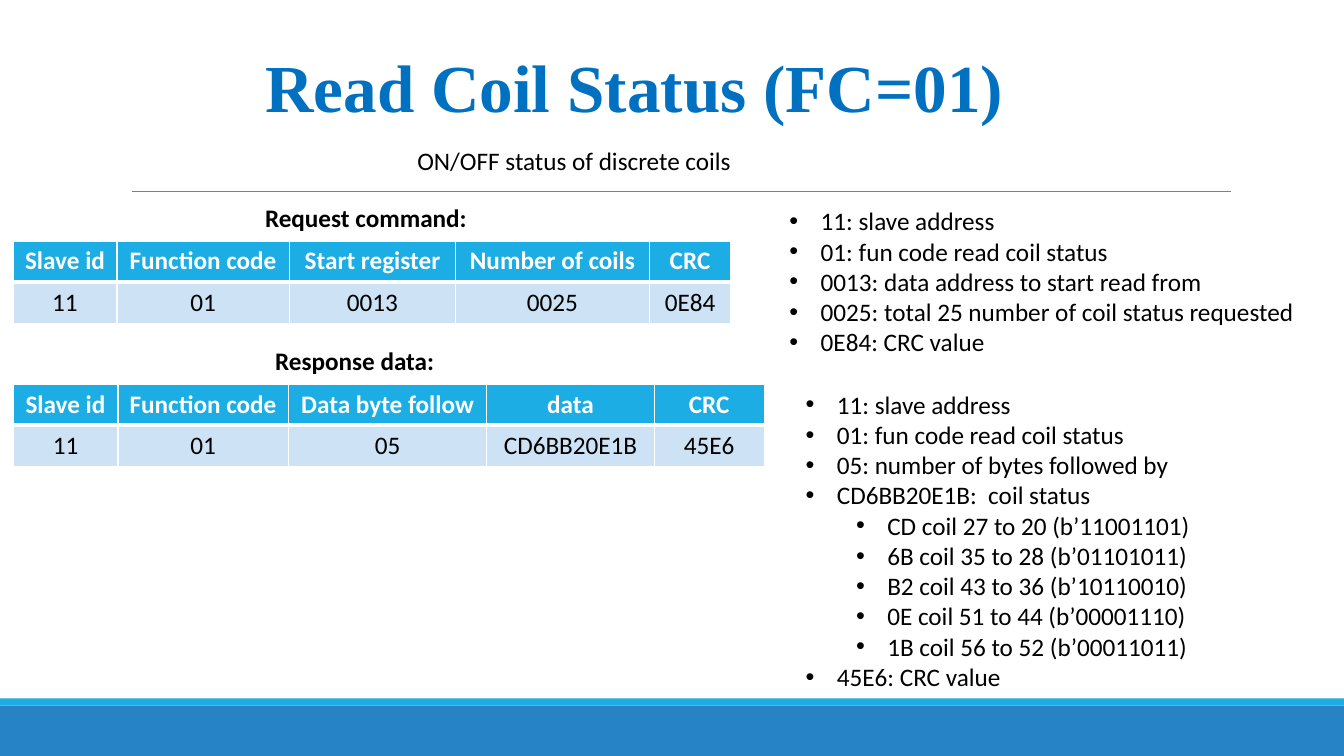
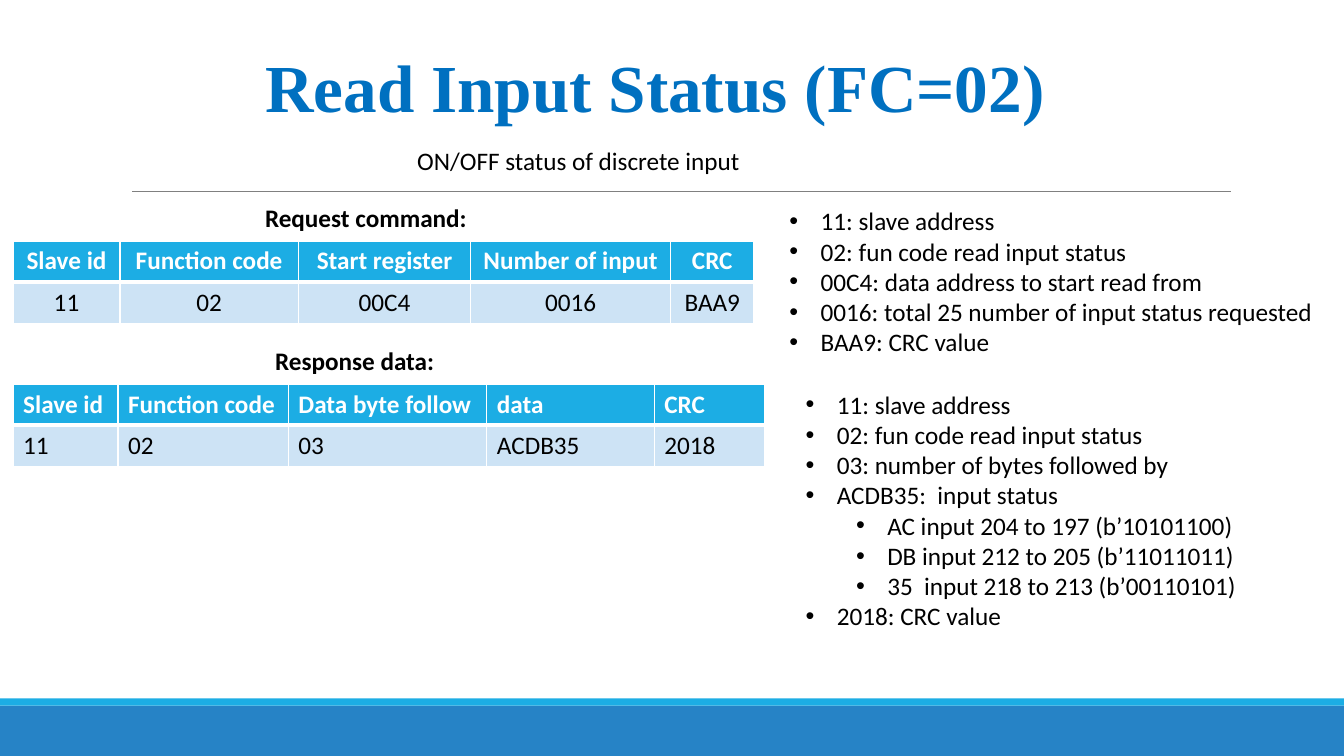
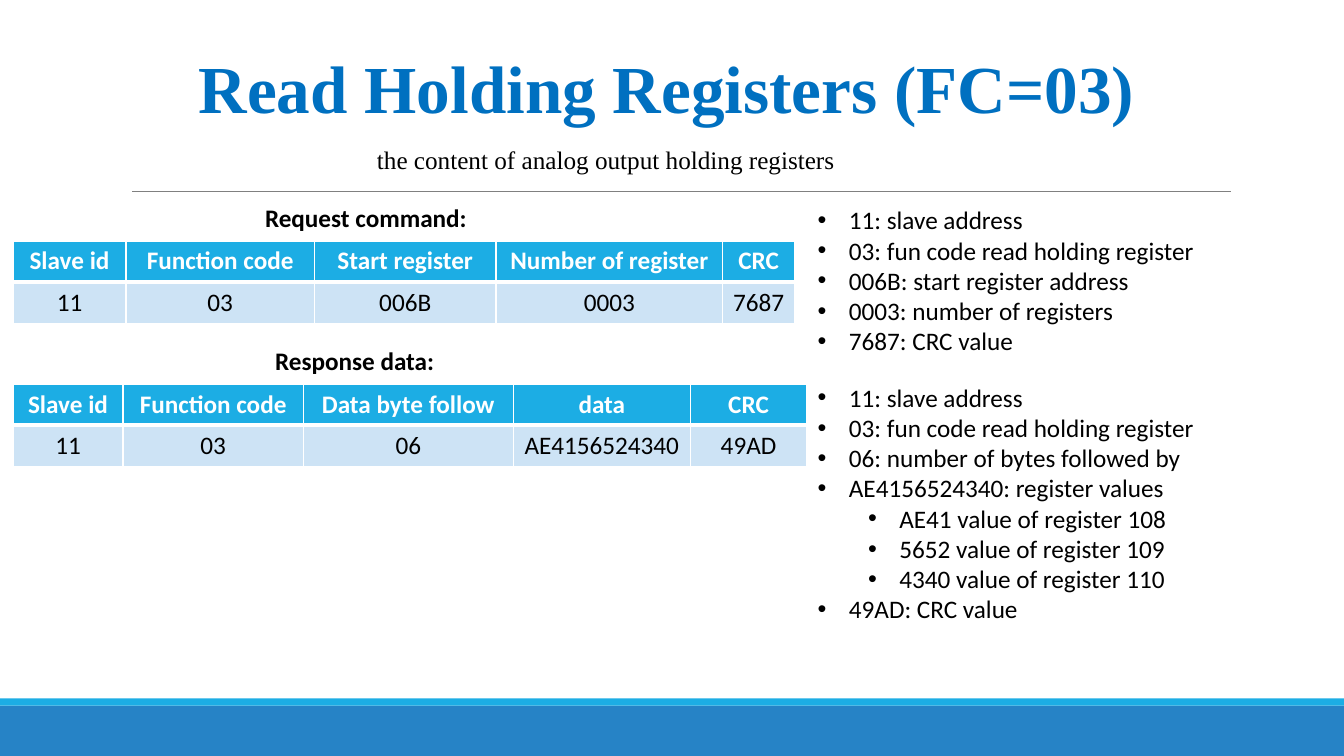
import pptx
import pptx.util
import pptx.dml.color
import pptx.enum.dml
import pptx.enum.shapes
import pptx.enum.text
import pptx.oxml
import pptx.oxml.ns
import lxml.etree

PX = 9144  # EMU per px, 100 px to the inch
SLIDE_SIZE = (1333, 750)

COLORS = {"band": "2683C6", "accent": "1CADE4", "rule": "808080", "title": "0070C0",
          "text": "000000", "white": "FFFFFF", "row": "CDE3F5"}

ALIGN = pptx.enum.text.PP_ALIGN
ANCHOR = pptx.enum.text.MSO_ANCHOR
FONTS = {
    "title": {"name": "Times New Roman", "size": pptx.util.Pt(48), "bold": True},
    "serif": {"name": "Times New Roman", "size": pptx.util.Pt(18), "bold": False},
    "text": {"name": "Calibri", "size": pptx.util.Pt(18), "bold": False},
    "strong": {"name": "Calibri", "size": pptx.util.Pt(18), "bold": True},
}
PARAGRAPH = {"line_spacing": 1.0, "space_before": pptx.util.Pt(0), "space_after": pptx.util.Pt(0)}
FRAME = {"word_wrap": True, "auto_size": pptx.enum.text.MSO_AUTO_SIZE.NONE}

# Shared places: left, top, width, height
BANDS = [("band", (0, 700, 1333, 50)), ("accent", (0, 693, 1333, 7))]
RULE = (131, 190, 1221, 190)
CAPTIONS = [("Request command:", (253, 196, 222, 40)), ("Response data:", (263, 338, 179, 40))]
TABLE_LEFT, TABLE_TOPS, ROW_HEIGHT = 13, (239, 381), 41
BULLET_HANG, LEVEL_STEP = 31, 50

REQUEST_HEAD = ["Slave id", "Function code", "Start register"]
RESPONSE_HEAD = ["Slave id", "Function code", "Data byte follow", "data", "CRC"]

# Content: nested lists are second-level bullets
SLIDES = [
    {
        "title": ("Read Coil Status (FC=01)", (253, 39, 776, 91)),
        "subtitle": ("ON/OFF status of discrete coils", (404, 139, 335, 40), "text"),
        "tables": [
            (REQUEST_HEAD + ["Number of coils", "CRC"], ["11", "01", "0013", "0025", "0E84"],
             [103, 171, 165, 192, 81], ALIGN.CENTER),
            (RESPONSE_HEAD, ["11", "01", "05", "CD6BB20E1B", "45E6"],
             [104, 169, 197, 166, 109], ALIGN.CENTER),
        ],
        "lists": [
            ((773, 199, 526, 162), [
                "11: slave address", "01: fun code read coil status",
                "0013: data address to start read from",
                "0025: total 25 number of coil status requested", "0E84: CRC value"]),
            ((789, 381, 406, 313), [
                "11: slave address", "01: fun code read coil status",
                "05: number of bytes followed by", "CD6BB20E1B:  coil status",
                ["CD coil 27 to 20 (b’11001101)", "6B coil 35 to 28 (b’01101011)",
                 "B2 coil 43 to 36 (b’10110010)", "0E coil 51 to 44 (b’00001110)",
                 "1B coil 56 to 52 (b’00011011)"],
                "45E6: CRC value"]),
        ],
    },
    {
        "title": ("Read Input Status (FC=02)", (253, 39, 828, 91)),
        "subtitle": ("ON/OFF status of discrete input", (404, 139, 344, 40), "text"),
        "tables": [
            (REQUEST_HEAD + ["Number of input", "CRC"], ["11", "02", "00C4", "0016", "BAA9"],
             [106, 177, 171, 198, 83], ALIGN.CENTER),
            (RESPONSE_HEAD, ["11", "02", "03", "ACDB35", "2018"],
             [104, 169, 197, 166, 109], ALIGN.LEFT),
        ],
        "lists": [
            ((773, 199, 545, 162), [
                "11: slave address", "02: fun code read input status",
                "00C4: data address to start read from",
                "0016: total 25 number of input status requested", "BAA9: CRC value"]),
            ((789, 381, 458, 252), [
                "11: slave address", "02: fun code read input status",
                "03: number of bytes followed by", "ACDB35:  input status",
                ["AC input 204 to 197 (b’10101100)", "DB input 212 to 205 (b’11011011)",
                 "35  input 218 to 213 (b’00110101)"],
                "2018: CRC value"]),
        ],
    },
    {
        "title": ("Read Holding Registers (FC=03)", (187, 40, 958, 91)),
        "subtitle": ("the content of analog output holding registers", (364, 138, 485, 40), "serif"),
        "tables": [
            (REQUEST_HEAD + ["Number of register", "CRC"], ["11", "03", "006B", "0003", "7687"],
             [112, 187, 180, 225, 71], ALIGN.CENTER),
            (RESPONSE_HEAD, ["11", "03", "06", "AE4156524340", "49AD"],
             [109, 179, 208, 176, 115], ALIGN.CENTER),
        ],
        "lists": [
            ((801, 198, 398, 162), [
                "11: slave address", "03: fun code read holding register",
                "006B: start register address", "0003: number of registers", "7687: CRC value"]),
            ((801, 374, 398, 252), [
                "11: slave address", "03: fun code read holding register",
                "06: number of bytes followed by", "AE4156524340: register values",
                ["AE41 value of register 108", "5652 value of register 109",
                 "4340 value of register 110"],
                "49AD: CRC value"]),
        ],
    },
]


def emu(lengths):
    return [length * PX for length in lengths]


def rgb(color):
    return pptx.dml.color.RGBColor.from_string(COLORS[color])


def apply(target, values):
    for attribute, value in values.items():
        setattr(target, attribute, value)


def place(shape, box):
    apply(shape, dict(zip(("left", "top", "width", "height"), emu(box))))


def write(paragraph, text, font, color="text", align=ALIGN.LEFT):
    run = paragraph.add_run()
    run.text = text
    apply(run.font, FONTS[font])
    run.font.color.rgb = rgb(color)
    apply(paragraph, {**PARAGRAPH, "alignment": align})


def add_label(slide, text, box, font):
    frame = slide.shapes.add_textbox(*emu(box)).text_frame
    apply(frame, FRAME)
    write(frame.paragraphs[0], text, font)


def fill_title(title, text, box):
    place(title, box)
    apply(title.text_frame, {**FRAME, "vertical_anchor": ANCHOR.BOTTOM})
    write(title.text_frame.paragraphs[0], text, "title", "title")


def fill_list(body, box, items):
    place(body, box)
    frame = body.text_frame
    apply(frame, {**FRAME, "vertical_anchor": ANCHOR.TOP})
    lines = [(text, int(isinstance(item, list))) for item in items
             for text in (item if isinstance(item, list) else [item])]
    for number, (text, level) in enumerate(lines):
        paragraph = frame.add_paragraph() if number else frame.paragraphs[0]
        paragraph.level = level
        write(paragraph, text, "text")
        properties = paragraph._p.get_or_add_pPr()
        properties.set("marL", str((BULLET_HANG + level * LEVEL_STEP) * PX))
        properties.set("indent", str(-BULLET_HANG * PX))
        bullet = lxml.etree.SubElement(properties, pptx.oxml.ns.qn("a:buChar"))
        bullet.set("char", "•")


def set_borders(cell, widths):
    properties = cell._tc.get_or_add_tcPr()
    for position, (side, points) in enumerate(widths.items()):
        properties.insert(position, pptx.oxml.parse_xml(
            f'<a:ln{side} {pptx.oxml.ns.nsdecls("a")} w="{pptx.util.Pt(points)}"><a:solidFill>'
            f'<a:srgbClr val="{COLORS["white"]}"/></a:solidFill></a:ln{side}>'))


def add_message_table(slide, top, head, values, widths, align):
    box = (TABLE_LEFT, top, sum(widths), 2 * ROW_HEIGHT)
    table = slide.shapes.add_table(2, len(head), *emu(box)).table
    table.horz_banding = False
    for column, width in zip(table.columns, emu(widths)):
        column.width = width
    looks = [(head, "accent", "strong", "white", {"L": 1, "R": 1, "T": 1, "B": 3}),
             (values, "row", "text", "text", {"L": 1, "R": 1, "T": 3, "B": 1})]
    for row, (texts, fill, font, color, borders) in enumerate(looks):
        table.rows[row].height = ROW_HEIGHT * PX
        for column, text in enumerate(texts):
            cell = table.cell(row, column)
            cell.fill.solid()
            cell.fill.fore_color.rgb = rgb(fill)
            set_borders(cell, borders)
            write(cell.text_frame.paragraphs[0], text, font, color, align)


def decorate_layout(layout, slide):
    """Draw the bands and the rule, then move them behind the layout's placeholders."""
    parts = []
    for color, box in BANDS:
        band = slide.shapes.add_shape(pptx.enum.shapes.MSO_SHAPE.RECTANGLE, *emu(box))
        band.shadow.inherit = False
        band.fill.solid()
        band.fill.fore_color.rgb = rgb(color)
        band.line.fill.background()
        parts.append(band)
    rule = slide.shapes.add_connector(pptx.enum.shapes.MSO_CONNECTOR.STRAIGHT, *emu(RULE))
    rule.line.color.rgb = rgb("rule")
    rule.line.width = pptx.util.Pt(0.5)
    lxml.etree.SubElement(rule._element.spPr, pptx.oxml.ns.qn("a:effectLst"))
    parts.append(rule)
    for position, part in enumerate(parts, start=2):
        layout.shapes.element.insert(position, part.element)


def main():
    deck = pptx.Presentation()
    deck.slide_width, deck.slide_height = emu(SLIDE_SIZE)
    layout = deck.slide_layouts.get_by_name("Two Content")
    for number, content in enumerate(SLIDES):
        slide = deck.slides.add_slide(layout)
        if number == 0:
            decorate_layout(layout, slide)
        title, *bodies = slide.placeholders
        fill_title(title, *content["title"])
        add_label(slide, *content["subtitle"])
        for caption, box in CAPTIONS:
            add_label(slide, caption, box, "strong")
        for top, message in zip(TABLE_TOPS, content["tables"]):
            add_message_table(slide, top, *message)
        for body, (box, items) in zip(bodies, content["lists"]):
            fill_list(body, box, items)
    deck.save("out.pptx")


if __name__ == "__main__":
    main()
